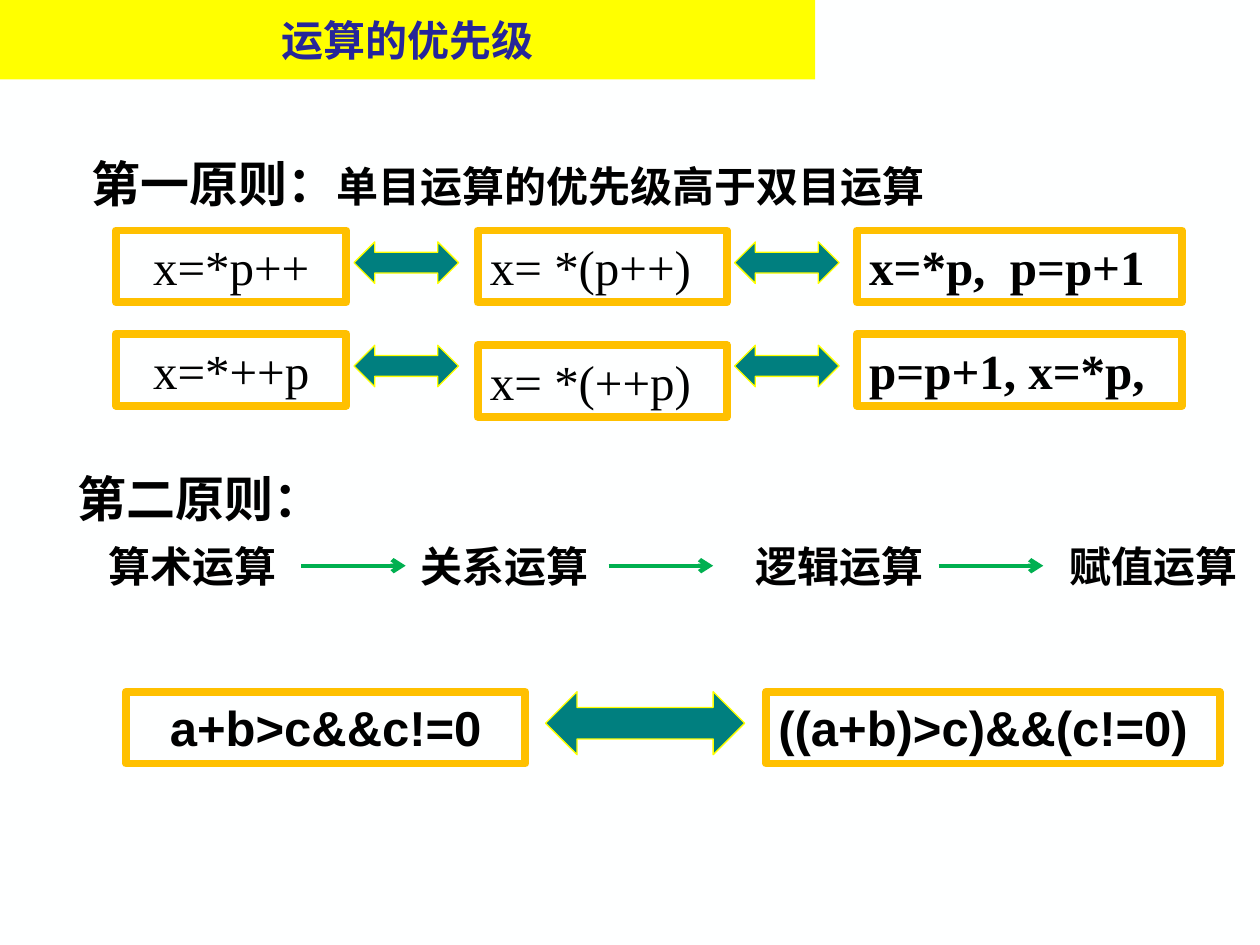
"""Build a slide on operator precedence."""
from lxml import etree
from pptx import Presentation
from pptx.dml.color import RGBColor
from pptx.enum.shapes import MSO_CONNECTOR, MSO_SHAPE
from pptx.enum.text import MSO_ANCHOR, MSO_AUTO_SIZE, PP_ALIGN
from pptx.oxml.ns import qn
from pptx.util import Inches, Pt

RECTANGLE = MSO_SHAPE.RECTANGLE
DOUBLE_ARROW = MSO_SHAPE.LEFT_RIGHT_ARROW
STRAIGHT = MSO_CONNECTOR.STRAIGHT
TOP, MIDDLE = MSO_ANCHOR.TOP, MSO_ANCHOR.MIDDLE
LEFT, CENTER = PP_ALIGN.LEFT, PP_ALIGN.CENTER
GROW, FIXED = MSO_AUTO_SIZE.SHAPE_TO_FIT_TEXT, MSO_AUTO_SIZE.NONE
TITLE_ONLY = 5
SERIF, SANS = "Times New Roman", "Arial"
COLORS = {
    "background": "FEFFFF", "text": "000000", "title": "262699", "banner": "FFFF00",
    "frame": "FFC000", "equivalence": "007F7F", "outline": "FFFF00", "order": "00B050",
}


class SlideBuilder:
    """Hold the style and the current slide."""

    def __init__(self, presentation):
        self.slide = presentation.slides.add_slide(presentation.slide_layouts[TITLE_ONLY])
        self.shapes = self.slide.shapes
        self.paint(self.slide.background.fill, "background")

    def paint(self, fill, color):
        fill.solid()
        fill.fore_color.rgb = RGBColor.from_string(COLORS[color])

    def outline(self, line, color, width):
        self.paint(line.fill, color)
        line.width = Pt(width)

    def add_text(self, shape, runs, font=SERIF, bold=True, color="text",
                 align=LEFT, anchor=TOP, wrap=True, fit=GROW):
        frame = shape.text_frame
        frame.word_wrap = wrap
        frame.auto_size = fit
        frame.vertical_anchor = anchor
        paragraph = frame.paragraphs[0]
        paragraph.alignment = align
        for text, size in runs:
            run = paragraph.add_run()
            run.text = text
            run.font.name = font
            run.font.size = Pt(size)
            run.font.bold = bold
            run.font.color.rgb = RGBColor.from_string(COLORS[color])

    def title(self, text, left, top, width, height):
        shape = self.shapes.title
        shape.left, shape.top = Inches(left), Inches(top)
        shape.width, shape.height = Inches(width), Inches(height)
        self.paint(shape.fill, "banner")
        self.add_text(shape, [(text, 24)], color="title", align=CENTER, anchor=MIDDLE, fit=FIXED)

    def label(self, runs, left, top, width, height):
        box = self.shapes.add_textbox(Inches(left), Inches(top), Inches(width), Inches(height))
        self.add_text(box, runs, wrap=False)

    def shape(self, kind, left, top, width, height):
        shape = self.shapes.add_shape(
            kind, Inches(left), Inches(top), Inches(width), Inches(height))
        shape.shadow.inherit = False
        return shape

    def expression(self, text, left, top, width, **style):
        box = self.shape(RECTANGLE, left, top, width, 0.57)
        box.fill.background()
        self.outline(box.line, "frame", 4.5)
        self.add_text(box, [(text, 28)], **style)

    def equivalence(self, left, top, width, height):
        arrow = self.shape(DOUBLE_ARROW, left, top, width, height)
        self.paint(arrow.fill, "equivalence")
        self.outline(arrow.line, "outline", 0.75)

    def order_arrow(self, left, top, length):
        arrow = self.shapes.add_connector(
            STRAIGHT, Inches(left), Inches(top), Inches(left + length), Inches(top))
        self.outline(arrow.line, "order", 2.5)
        properties = arrow.element.spPr
        etree.SubElement(properties.find(qn("a:ln")), qn("a:tailEnd"), type="arrow")
        etree.SubElement(properties, qn("a:effectLst"))


def main():
    presentation = Presentation()
    presentation.slide_width, presentation.slide_height = Inches(10), Inches(7.5)
    builder = SlideBuilder(presentation)
    builder.title("运算的优先级", 0, 0, 6.47, 0.63)

    builder.label([("第一原则：", 28), ("单目运算的优先级高于双目运算", 24)], 0.63, 1.17, 6.81, 0.57)
    unary_rows = [
        (1.83, 1.83, 1.92, "x=*p++", "x= *(p++)", "x=*p,  p=p+1"),
        (2.65, 2.74, 2.74, "x=*++p", "x= *(++p)", "p=p+1, x=*p,"),
    ]
    for top, middle_top, arrow_top, source, grouped, expanded in unary_rows:
        builder.expression(source, 0.92, top, 1.83, bold=False, align=CENTER)
        builder.expression(grouped, 3.79, middle_top, 1.98, bold=False)
        builder.expression(expanded, 6.8, top, 2.58)
        for left in (2.81, 5.83):
            builder.equivalence(left, arrow_top, 0.83, 0.33)

    builder.label([("第二原则：", 28)], 0.52, 3.67, 2.14, 0.57)
    operations = [("算术运算", 0.76), ("关系运算", 3.24), ("逻辑运算", 5.9), ("赋值运算", 8.39)]
    for text, left in operations:
        builder.label([(text, 24)], left, 4.24, 1.53, 0.5)
    for left in (2.39, 4.83, 7.45):
        builder.order_arrow(left, 4.49, 0.83)

    builder.expression("a+b>c&&c!=0", 1, 5.49, 3.17, font=SANS, align=CENTER)
    builder.equivalence(4.33, 5.49, 1.58, 0.5)
    builder.expression("((a+b)>c)&&(c!=0)", 6.08, 5.49, 3.6, font=SANS)
    presentation.save("out.pptx")


if __name__ == "__main__":
    main()
